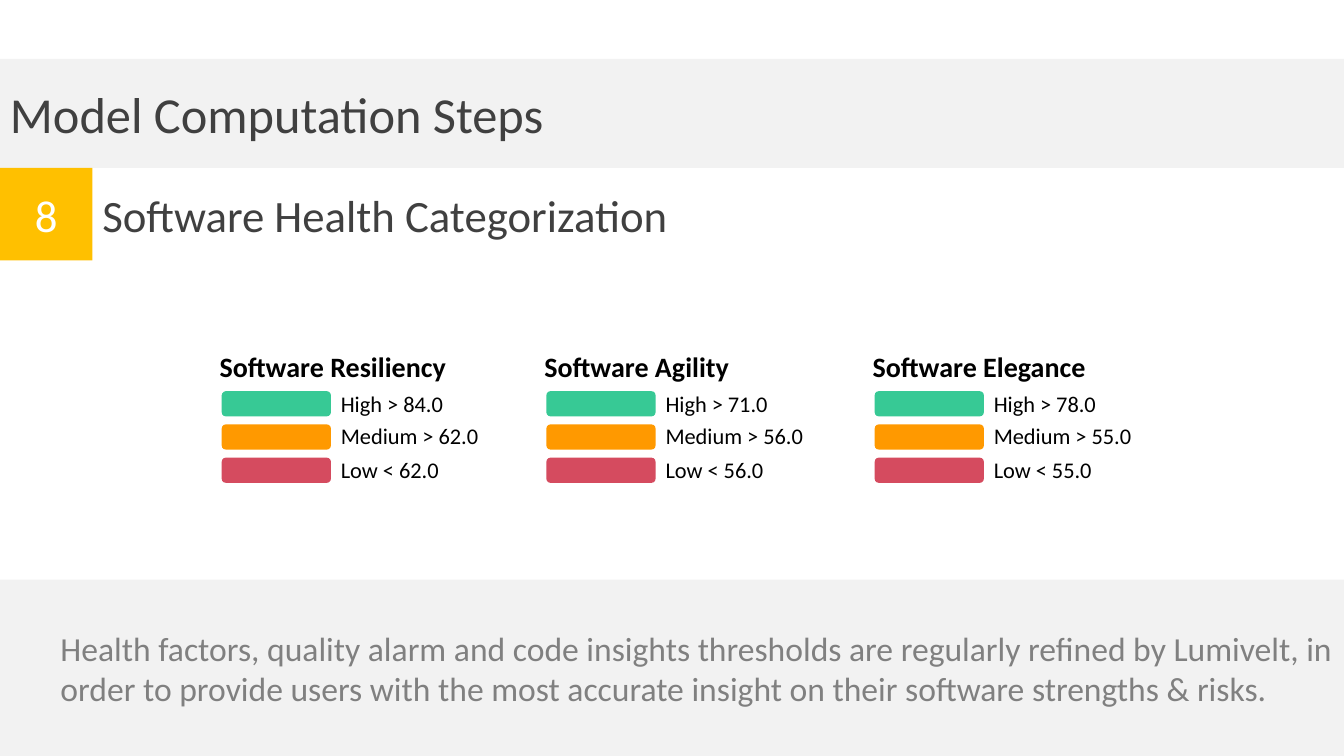
"""Build the software health categorization slide."""
from dataclasses import dataclass
from typing import Any

from pptx import Presentation
from pptx import slide as sl
from pptx import util as u
from pptx.dml import color as col
from pptx.enum import shapes, text

WHITE = col.RGBColor(0xFF, 0xFF, 0xFF)
BLACK = col.RGBColor(0x00, 0x00, 0x00)
DARK = col.RGBColor(0x40, 0x40, 0x40)
GREY = col.RGBColor(0x80, 0x80, 0x80)
PALE = col.RGBColor(0xF2, 0xF2, 0xF2)
GOLD = col.RGBColor(0xFF, 0xC0, 0x00)
GREEN = col.RGBColor(0x37, 0xC9, 0x95)
AMBER = col.RGBColor(0xFF, 0x99, 0x00)
RED = col.RGBColor(0xD5, 0x4B, 0x5F)

RECT = shapes.MSO_SHAPE.RECTANGLE
ROUND = shapes.MSO_SHAPE.ROUNDED_RECTANGLE
LEFT = text.PP_ALIGN.LEFT
CENTER = text.PP_ALIGN.CENTER
WIDE = 960
BAR_TOP, BAR_STEP, BAR_W, BAR_H = 279.4, 23.75, 78, 18


@dataclass(frozen=True)
class Box:
    """Place of an element in points."""
    x: float
    y: float
    w: float
    h: float

    def place(self) -> tuple[u.Length, ...]:
        """Return left, top, width and height."""
        return tuple(u.Pt(n) for n in (self.x, self.y, self.w, self.h))


@dataclass(frozen=True)
class Level:
    """One rating level of the legend."""
    fill: col.RGBColor
    top: float
    width: float


@dataclass(frozen=True)
class Factor:
    """One health factor with its thresholds."""
    name: str
    x: float
    width: float
    labels: tuple[str, str, str]


LEVELS = (Level(GREEN, 275, 88.5), Level(AMBER, 298, 114), Level(RED, 322.5, 85.5))
FACTORS = (
    Factor("Software Resiliency", 158.4, 183,
           ("High > 84.0", "Medium > 62.0", "Low < 62.0")),
    Factor("Software Agility", 390.3, 148.5,
           ("High > 71.0", "Medium > 56.0", "Low < 56.0")),
    Factor("Software Elegance", 624.8, 168.5,
           ("High > 78.0", "Medium > 55.0", "Low < 55.0")),
)


def write(item: Any, words: str, size: float, tint: col.RGBColor,
          bold: bool = False, align: text.PP_ALIGN = LEFT, **frame: Any) -> None:
    """Put styled text into a shape."""
    body = item.text_frame
    looks = {"word_wrap": True, "vertical_anchor": text.MSO_ANCHOR.MIDDLE, **frame}
    for key, value in looks.items():
        setattr(body, key, value)
    para = body.paragraphs[0]
    para.alignment = align
    run = para.add_run()
    run.text = words
    for key, value in {"name": "Calibri", "size": u.Pt(size), "bold": bold}.items():
        setattr(run.font, key, value)
    run.font.color.rgb = tint


def block(page: sl.Slide, kind: shapes.MSO_SHAPE, box: Box, fill: col.RGBColor) -> Any:
    """Draw a flat filled shape."""
    item = page.shapes.add_shape(kind, *box.place())
    item.shadow.inherit = False
    item.fill.solid()
    item.fill.fore_color.rgb = fill
    item.line.fill.background()
    return item


def label(page: sl.Slide, box: Box, words: str, size: float, bold: bool = False) -> None:
    """Draw an unwrapped black label."""
    item = page.shapes.add_textbox(*box.place())
    write(item, words, size, BLACK, bold, word_wrap=False,
          vertical_anchor=text.MSO_ANCHOR.TOP,
          auto_size=text.MSO_AUTO_SIZE.SHAPE_TO_FIT_TEXT)


def legend(page: sl.Slide, factor: Factor) -> None:
    """Draw the heading, bars and thresholds of one factor."""
    label(page, Box(factor.x - 8.6, 246.2, factor.width, 31.5), factor.name, 20, True)
    for row, (level, words) in enumerate(zip(LEVELS, factor.labels)):
        top = BAR_TOP + row * BAR_STEP
        block(page, ROUND, Box(factor.x, top, BAR_W, BAR_H), level.fill)
        label(page, Box(factor.x + BAR_W, level.top, level.width, 26.6), words, 16)


def main() -> None:
    """Compose and save the slide."""
    deck = Presentation()
    deck.slide_width, deck.slide_height = u.Pt(WIDE), u.Pt(540)
    page = deck.slides.add_slide(deck.slide_layouts[6])

    title = block(page, RECT, Box(0, 42, WIDE, 78), PALE)
    write(title, "Model Computation Steps", 36, DARK)
    step = block(page, RECT, Box(0, 120, 66, 66), GOLD)
    write(step, "8", 32, WHITE, align=CENTER)
    topic = page.shapes.add_textbox(*Box(66, 120, 654, 66).place())
    write(topic, "Software Health Categorization", 32, DARK)

    for factor in FACTORS:
        legend(page, factor)

    note = block(page, RECT, Box(0, 414, WIDE, 126), PALE)
    write(note, "Health factors, quality alarm and code insights thresholds are "
          "regularly refined by Lumivelt, in order to provide users with the most "
          "accurate insight on their software strengths & risks.", 24, GREY,
          margin_left=u.Pt(43.2))
    deck.save("out.pptx")


if __name__ == "__main__":
    main()
